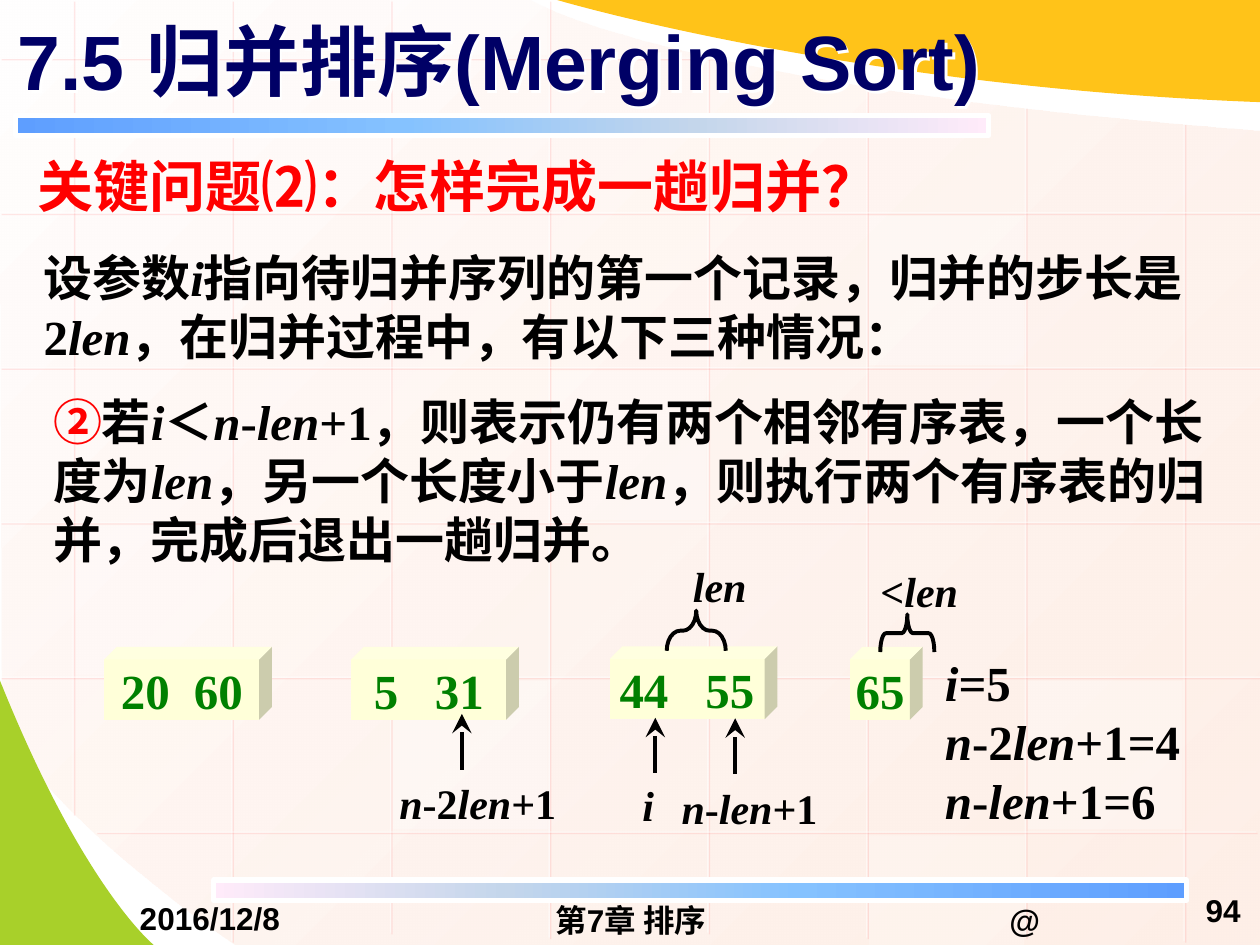
from lxml import etree
from pptx import Presentation
from pptx import util as u
from pptx.dml.color import RGBColor
from pptx.enum import shapes, text
from pptx.oxml import ns

Cm, Pt = u.Cm, u.Pt
WHITE = RGBColor(0xFF, 0xFF, 0xFF)
BLACK = RGBColor(0, 0, 0)
NAVY = RGBColor(0, 0, 0x66)
RED = RGBColor(0xFF, 0, 0)
GREEN = RGBColor(0, 0x80, 0)
LIME = RGBColor(0xA8, 0xD0, 0x2A)
ORANGE = RGBColor(0xFF, 0xC3, 0x19)
CREAM = RGBColor(0xFF, 0xFF, 0xD9)
PINK = RGBColor(0xFF, 0x75, 0x75)
CJK_FONT = "Noto Sans CJK SC"
LEFT, CENTER, RIGHT = text.PP_ALIGN.LEFT, text.PP_ALIGN.CENTER, text.PP_ALIGN.RIGHT
WIDTH, HEIGHT = 25.4, 19.05

PAGE_OUTLINE = [(25.4, 2.64), (25.4, 19.05), (4.75, 19.05),
                (1.4, 16.76, 0.03, 14.73, 0.05, 14.73), (0, 0), (10.69, 0),
                (10.69, 0.03, 13.64, 1.75, 25.4, 2.64)]
GREEN_OUTLINE = [(0, 13.72), (0, 19.05), (3.1, 19.05), (3.1, 19.05, 1.68, 17.91, 0, 13.72)]
ORANGE_OUTLINE = [(25.4, 2.06), (25.4, 0), (11.23, 0), (11.23, 0, 17.12, 1.75, 25.4, 2.06)]
PAGE_STOPS = [(0, "FFFEFE", 100), (100, "FEE9DE", 70)]
BAR_STOPS = [(0, "5E9EFF", 100), (40, "85C2FF", 100), (70, "C4D6EB", 100), (100, "FFEBFA", 100)]

GRID_X, GRID_Y, STEP_X, STEP_Y = 1.47, 1.17, 3.2, 3.12
COLUMN_ENDS = [(0, 16.41), (0, 18.97), (0, 18.8), (0, 18.9),
               (1.09, 18.8), (1.73, 18.9), (2.16, 18.9), (2.49, 18.97)]
ROW_ENDS = [(0, 14.43), (0, WIDTH), (0, WIDTH), (0, WIDTH), (0, WIDTH), (1.93, 25.32)]
TILES = [(3, 2, 25), (6, 4, 30), (0, 3, 20), (5, 5, 20), (2, -1, 40), (2, 4, 30), (5, 1, 30)]
BARS = [(0.32, 2.33, 0), (4.31, 17.74, 180)]

TITLE = "7.5 归并排序(Merging Sort)"
AUTHOR = ("@", (17.7, 18.16, 5.92, 0.76), CENTER, (0.25, 0, 0.25))
FOOTERS = [("2016/12/8", (1.27, 18.12, 5.92, 0.76), CENTER, (0.25, 0, 0.25)),
           ("第7章 排序", (8.69, 18.16, 8.05, 0.76), CENTER, (0.25, 0, 0.25)),
           ("94", (23.83, 17.73, 1.68, 1.24), RIGHT, (0.25, 0.13, 0.5))]
QUESTION = "关键问题⑵：怎样完成一趟归并？"
INTRODUCTION = "设参数_i_指向待归并序列的第一个记录，归并的步长是2_len_，在归并过程中，有以下三种情况："
CASE = ("②__若_i_＜_n_-_len_+1，则表示仍有两个相邻有序表，一个长度为_len_，"
        "另一个长度小于_len_，则执行两个有序表的归并，完成后退出一趟归并。")
FORMULAS = ["_i_=5", "_n_-2_len_+1=4", "_n_-_len_+1=6"]
CUBES = [("20\t60", 2.1, 13.04, 3.38, 0.34, 1.47),
         ("5\t31", 7.08, 13.04, 3.38, 0.46, 1.23),
         ("44\t55", 12.29, 13.03, 3.38, 0.2, 1.73),
         ("65", 17.13, 13.04, 1.47, 0.12, None)]
LABELS = [("_i_", (12.95, 15.72, 0.51, 1.02)),
          ("_len_", (13.97, 11.3, 1.32, 1.02)),
          ("_n_-2_len_+1", (8.05, 15.67, 3.38, 1.02)),
          ("_n_-_len_+1", (13.74, 15.77, 2.87, 1.02)),
          ("<_len_", (17.75, 11.4, 1.93, 1.02))]
ARROWS = [(13.21, 15.58, 14.47), (9.31, 15.52, 14.39), (14.82, 15.6, 14.48)]
BRACES = [((13.63, 12.12, 0.81, 1.19), 0.335), ((17.91, 12.22, 0.76, 1.09), 0.15)]


def add_element(parent, tag, **attributes):
    return etree.SubElement(parent, ns.qn(tag), attributes)


def set_alpha(fill, percent):
    color = fill._xPr.find(".//" + ns.qn("a:srgbClr"))
    add_element(color, "a:alpha", val=str(percent * 1000))


def set_gradient(shape, stops, angle):
    shape.fill.gradient()
    gradient = shape._element.spPr.find(ns.qn("a:gradFill"))
    stop_list = gradient.find(ns.qn("a:gsLst"))
    for stop in list(stop_list):
        stop_list.remove(stop)
    for position, color, alpha in stops:
        stop = add_element(stop_list, "a:gs", pos=str(position * 1000))
        color_element = add_element(stop, "a:srgbClr", val=color)
        if alpha < 100:
            add_element(color_element, "a:alpha", val=str(alpha * 1000))
    gradient.find(ns.qn("a:lin")).set("ang", str(angle * 60000))


def set_shadow(shape, color, alpha, distance):
    effects = add_element(shape._element.spPr, "a:effectLst")
    shadow = add_element(effects, "a:outerShdw", dist=str(Pt(distance)),
                         dir="2700000", algn="ctr", rotWithShape="0")
    add_element(add_element(shadow, "a:srgbClr", val=str(color)), "a:alpha", val=str(alpha * 1000))


def paint(shape, color=None):
    shape.shadow.inherit = False
    shape.line.fill.background()
    if color is None:
        shape.fill.background()
    else:
        shape.fill.solid()
        shape.fill.fore_color.rgb = color


def add_outline(slide, outline, color):
    corners = [(Cm(segment[-2]), Cm(segment[-1])) for segment in outline]
    builder = slide.shapes.build_freeform(*corners[0], scale=1)
    builder.add_line_segments(corners[1:], close=True)
    shape = builder.convert_to_shape()
    steps = list(shape._element.spPr.iter(ns.qn("a:lnTo")))
    for step, segment in zip(steps, outline[1:]):
        if len(segment) == 6:
            curve = etree.Element(ns.qn("a:cubicBezTo"))
            for x, y in zip(segment[::2], segment[1::2]):
                add_element(curve, "a:pt", x=str(Cm(x) - shape.left), y=str(Cm(y) - shape.top))
            step.getparent().replace(step, curve)
    paint(shape, color)
    return shape


def add_box(slide, kind, box, color=None):
    shape = slide.shapes.add_shape(kind, *map(Cm, box))
    paint(shape, color)
    return shape


def add_line(slide, ends, color, width):
    line = slide.shapes.add_connector(shapes.MSO_CONNECTOR.STRAIGHT, *map(Cm, ends))
    line.line.color.rgb = color
    line.line.width = Pt(width)
    return line


def write(frame, lines, font, size, color, align=LEFT, tab=None, **frame_format):
    for name, value in {"word_wrap": True, **frame_format}.items():
        setattr(frame, name, value)
    values = {"name": font, "size": Pt(size), "bold": True}
    for index, line in enumerate(lines):
        paragraph = frame.add_paragraph() if index else frame.paragraphs[0]
        paragraph.alignment = align
        if tab:
            tabs = add_element(paragraph._p.get_or_add_pPr(), "a:tabLst")
            add_element(tabs, "a:tab", pos=str(Cm(tab)), algn="l")
        for part, piece in enumerate(line.split("_")):
            if not piece:
                continue
            run = paragraph.add_run()
            run.text = piece
            for name, value in {**values, "italic": part % 2 == 1}.items():
                setattr(run.font, name, value)
            run.font.color.rgb = color
            add_element(run._r.get_or_add_rPr(), "a:ea", typeface=CJK_FONT)


def add_text(slide, box, lines, font, size, color, **options):
    frame = slide.shapes.add_textbox(*map(Cm, box)).text_frame
    write(frame, lines, font, size, color, **options)
    return frame


def margins(left=0, vertical=0, right=0):
    return {"margin_left": Cm(left), "margin_right": Cm(right),
            "margin_top": Cm(vertical), "margin_bottom": Cm(vertical)}


def add_footer(slide, label, box, align, insets):
    add_text(slide, box, [label], "Arial", 18, BLACK, align=align,
             vertical_anchor=text.MSO_ANCHOR.MIDDLE, **margins(*insets))


def add_backdrop(slide):
    set_gradient(add_outline(slide, PAGE_OUTLINE, WHITE), PAGE_STOPS, 45)
    add_outline(slide, GREEN_OUTLINE, LIME)
    columns = [(GRID_X + i * STEP_X, top, GRID_X + i * STEP_X, bottom)
               for i, (top, bottom) in enumerate(COLUMN_ENDS)]
    rows = [(left, GRID_Y + i * STEP_Y, right, GRID_Y + i * STEP_Y)
            for i, (left, right) in enumerate(ROW_ENDS)]
    for ends in columns + rows:
        line = add_line(slide, ends, WHITE, 0.75)
        set_alpha(line.line.fill, 50)
        set_shadow(line, PINK, 33, 1.4)
    for column, row, alpha in TILES:
        edge = GRID_Y + row * STEP_Y + 0.07
        top, bottom = max(0, edge), min(HEIGHT, edge + 3)
        box = (GRID_X + column * STEP_X + 0.05, top, 3.12, bottom - top)
        set_alpha(add_box(slide, shapes.MSO_SHAPE.RECTANGLE, box, WHITE).fill, alpha)
    add_outline(slide, ORANGE_OUTLINE, ORANGE)
    add_footer(slide, *AUTHOR)
    for left, top, rotation in BARS:
        bar = add_box(slide, shapes.MSO_SHAPE.RECTANGLE, (left, top, 19.61, 0.41))
        set_gradient(bar, BAR_STOPS, 0)
        bar.line.color.rgb = WHITE
        bar.line.width = Pt(3)
        bar.rotation = rotation


def move_to_master(slide):
    master_tree = slide.slide_layout.slide_master.shapes._spTree
    decorations = [shape for shape in slide.shapes if not shape.is_placeholder]
    for number, shape in enumerate(decorations, 100):
        shape._element.xpath(".//p:cNvPr")[0].set("id", str(number))
        master_tree.append(shape._element)


def add_title(slide):
    title = slide.shapes.title
    box = {"left": Cm(0.1), "top": Cm(-0.08), "width": Cm(22.86), "height": Cm(2.57)}
    for name, value in box.items():
        setattr(title, name, value)
    set_shadow(title, WHITE, 100, 2)
    write(title.text_frame, [TITLE], "Arial", 44, NAVY,
          vertical_anchor=text.MSO_ANCHOR.MIDDLE, auto_size=text.MSO_AUTO_SIZE.NONE)


def add_diagram(slide):
    for label, left, top, width, inset, tab in CUBES:
        cube = add_box(slide, shapes.MSO_SHAPE.CUBE, (left, top, width, 1.47), CREAM)
        cube.adjustments[0] = 0.173
        write(cube.text_frame, [label], "Times New Roman", 28, GREEN, tab=tab,
              vertical_anchor=text.MSO_ANCHOR.MIDDLE, **margins(inset))
    for x, start, end in ARROWS:
        arrow = add_line(slide, (x, start, x, end), BLACK, 2.25)
        add_element(arrow.line._get_or_add_ln(), "a:tailEnd", type="stealth", w="lg", len="lg")
        add_element(arrow._element.spPr, "a:effectLst")
    for box, curve in BRACES:
        brace = add_box(slide, shapes.MSO_SHAPE.LEFT_BRACE, box)
        brace.adjustments[0] = curve
        brace.rotation = 90
        brace.line.color.rgb = BLACK
        brace.line.width = Pt(2.25)
    for label, box in LABELS:
        add_text(slide, box, [label], "Times New Roman", 24, BLACK, **margins())
    add_text(slide, (19.05, 13.16, 5.26, 3.56), FORMULAS, "Times New Roman", 28, BLACK,
             **margins())


def main():
    presentation = Presentation()
    presentation.slide_width, presentation.slide_height = Cm(WIDTH), Cm(HEIGHT)
    slide = presentation.slides.add_slide(presentation.slide_layouts[5])
    add_backdrop(slide)
    move_to_master(slide)
    add_title(slide)
    for footer in FOOTERS:
        add_footer(slide, *footer)
    add_text(slide, (0.51, 2.92, 24.41, 1.63), [QUESTION], "Arial", 32, RED)
    add_text(slide, (0.63, 4.86, 24.33, 2.62), [INTRODUCTION], "Times New Roman", 28, BLACK)
    case = add_text(slide, (0.82, 7.77, 23.8, 3.81), [CASE], "Times New Roman", 28, BLACK)
    case.paragraphs[0].runs[0].font.color.rgb = RED
    add_diagram(slide)
    presentation.save("out.pptx")


if __name__ == "__main__":
    main()
